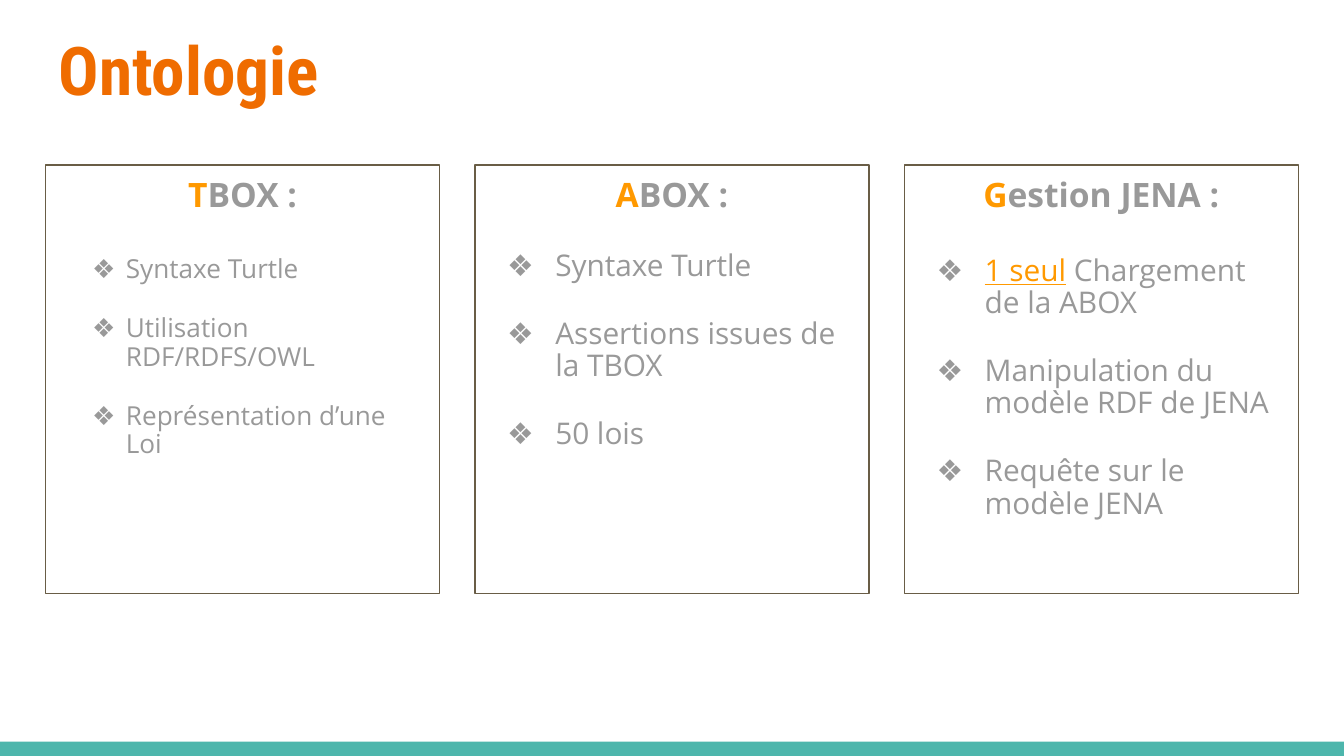
from pptx import Presentation
from pptx.dml.color import RGBColor
from pptx.enum.shapes import MSO_SHAPE
from pptx.enum.text import MSO_ANCHOR, PP_ALIGN
from pptx.util import Cm, Pt
from lxml import etree

RECTANGLE = MSO_SHAPE.RECTANGLE
TOP = MSO_ANCHOR.TOP
LEFT, CENTER = PP_ALIGN.LEFT, PP_ALIGN.CENTER

WHITE = RGBColor(0xFF, 0xFF, 0xFF)
TEAL = RGBColor(0x4D, 0xB6, 0xAC)
ORANGE = RGBColor(0xEF, 0x6C, 0x00)
AMBER = RGBColor(0xFF, 0x99, 0x00)
GRAY = RGBColor(0x99, 0x99, 0x99)
BROWN = RGBColor(0x69, 0x5D, 0x46)

TITLE_FONT, BODY_FONT = "Roboto Condensed", "Open Sans"

# Content: items are (highlighted start, rest)
TITLE = "Ontologie"
CARDS = [
    {"heading": ("T", "BOX :"), "size": 14, "hanging": 0.64, "first_gap": 22,
     "items": [("", "Syntaxe Turtle"),
               ("", "Utilisation RDF/RDFS/OWL"),
               ("", "Représentation d’une Loi")]},
    {"heading": ("A", "BOX :"), "size": 16, "hanging": 0.91, "first_gap": 19.5,
     "items": [("", "Syntaxe Turtle"),
               ("", "Assertions issues de la TBOX"),
               ("", "50 lois")]},
    {"heading": ("G", "estion JENA :"), "size": 16, "hanging": 0.91, "first_gap": 22,
     "items": [("1 seul", " Chargement de la ABOX"),
               ("", "Manipulation du modèle RDF de JENA"),
               ("", "Requête sur le modèle JENA")]},
]

# Layout, in cm
SLIDE_W, SLIDE_H = 25.4, 14.29
MARGIN = 0.86
CARD_TOP, CARD_W, CARD_H = 3.12, 7.45, 8.1
CARD_STEP = (SLIDE_W - 2 * MARGIN - CARD_W) / (len(CARDS) - 1)
BAND_H = 0.27
INSET = 0.25
ITEM_INDENT = 1.27
LINE_SPACING = 0.9
GAP_PER_POINT = 1.2


def add_text(paragraph, text, *, size, color, font=BODY_FONT, bold=False, underline=False):
    run = paragraph.add_run()
    run.text = text
    run.font.name = font
    run.font.size = Pt(size)
    run.font.bold = bold
    run.font.underline = underline
    run.font.color.rgb = color


def prepare_frame(shape):
    frame = shape.text_frame
    frame.word_wrap = True
    frame.vertical_anchor = TOP
    frame.margin_left = frame.margin_right = Cm(INSET)
    frame.margin_top = frame.margin_bottom = Cm(INSET)
    return frame


def add_rectangle(left, top, width, height):
    rectangle = slide.shapes.add_shape(RECTANGLE, Cm(left), Cm(top), Cm(width), Cm(height))
    rectangle.shadow.inherit = False
    return rectangle


def add_bullet(paragraph, hanging):
    properties = paragraph._p.get_or_add_pPr()
    properties.set("marL", str(Cm(ITEM_INDENT)))
    properties.set("indent", str(-Cm(hanging)))
    namespace = properties.nsmap["a"]
    color = etree.SubElement(properties, f"{{{namespace}}}buClr")
    etree.SubElement(color, f"{{{namespace}}}srgbClr", val=str(GRAY))
    etree.SubElement(properties, f"{{{namespace}}}buFont", typeface=BODY_FONT)
    etree.SubElement(properties, f"{{{namespace}}}buChar", char="❖")


def add_card(left, card):
    box = add_rectangle(left, CARD_TOP, CARD_W, CARD_H)
    box.fill.background()
    box.line.color.rgb = BROWN
    box.line.width = Pt(0.75)
    frame = prepare_frame(box)

    # Heading with coloured initial
    heading = frame.paragraphs[0]
    heading.alignment = CENTER
    heading.line_spacing = LINE_SPACING
    for text, color in zip(card["heading"], (AMBER, GRAY)):
        add_text(heading, text, size=18, color=color, bold=True)

    # Bulleted items
    size = card["size"]
    for index, (highlight, rest) in enumerate(card["items"]):
        item = frame.add_paragraph()
        item.alignment = LEFT
        item.line_spacing = LINE_SPACING
        item.space_before = Pt(size * GAP_PER_POINT if index else card["first_gap"])
        add_bullet(item, card["hanging"])
        if highlight:
            add_text(item, highlight, size=size, color=AMBER, underline=True)
        add_text(item, rest, size=size, color=GRAY)


presentation = Presentation()
presentation.slide_width, presentation.slide_height = Cm(SLIDE_W), Cm(SLIDE_H)
slide = presentation.slides.add_slide(presentation.slide_layouts[6])
slide.background.fill.solid()
slide.background.fill.fore_color.rgb = WHITE

# Bottom band
band = add_rectangle(0, SLIDE_H - BAND_H, SLIDE_W, BAND_H)
band.fill.solid()
band.fill.fore_color.rgb = TEAL
band.line.fill.background()

# Title
title = slide.shapes.add_textbox(Cm(MARGIN), Cm(0.28), Cm(SLIDE_W - 2 * MARGIN), Cm(1.96))
add_text(prepare_frame(title).paragraphs[0], TITLE,
         size=36, color=ORANGE, font=TITLE_FONT, bold=True)

# Cards
for position, card in enumerate(CARDS):
    add_card(MARGIN + position * CARD_STEP, card)

presentation.save("out.pptx")
